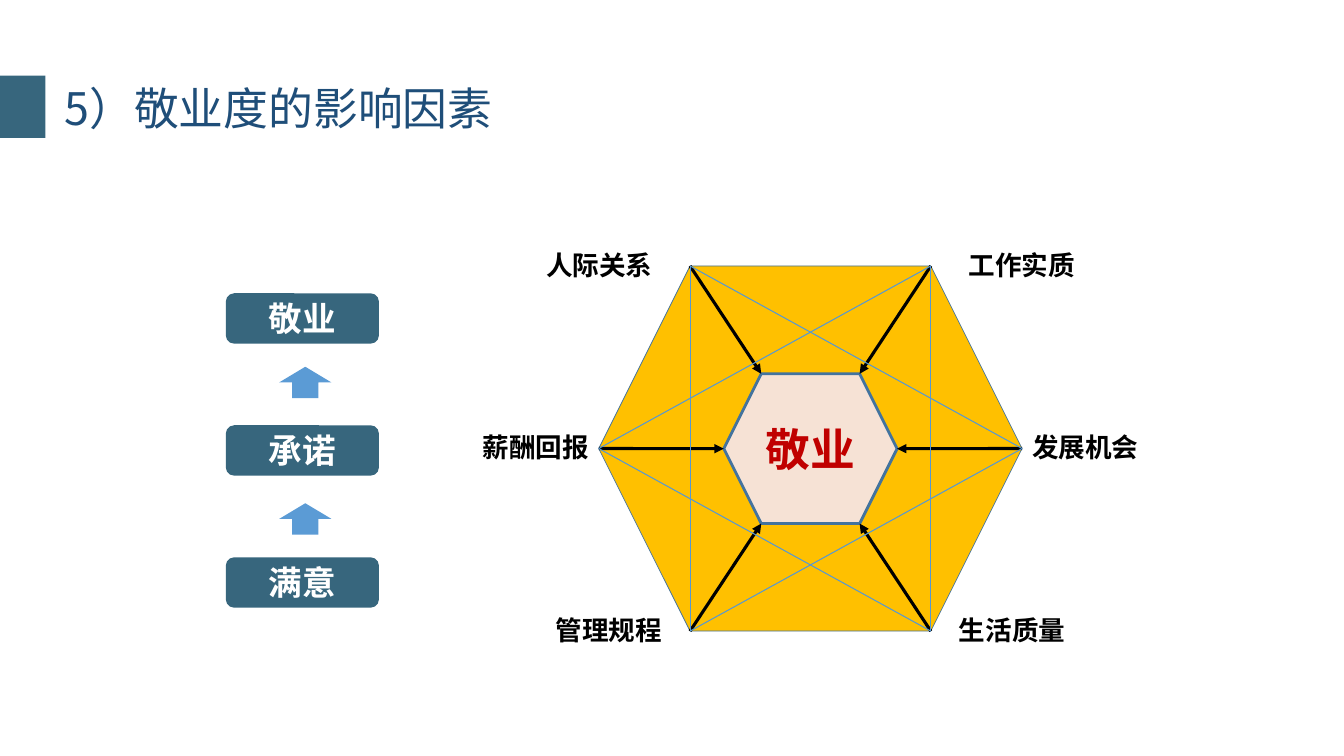
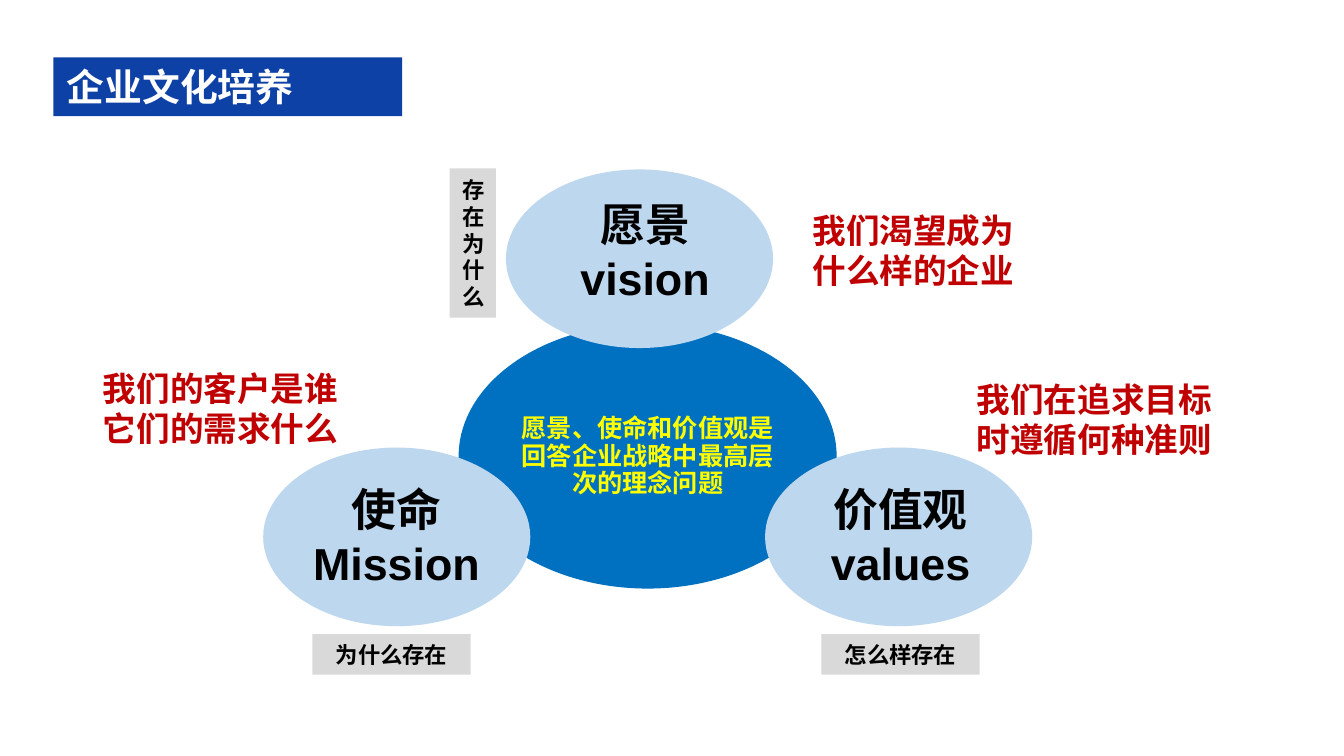
from lxml.etree import SubElement
from pptx import Presentation
from pptx.dml.color import RGBColor
from pptx.enum.shapes import MSO_CONNECTOR, MSO_SHAPE
from pptx.enum.text import MSO_ANCHOR, PP_ALIGN
from pptx.oxml.ns import qn
from pptx.util import Pt

CJK_FONT = "Noto Sans CJK SC"
LATIN_FONT = "Arial"
TEAL, RED, BLACK, WHITE = "37667D", "C00000", "000000", "FFFFFF"
LEFT, CENTER, RIGHT = PP_ALIGN.LEFT, PP_ALIGN.CENTER, PP_ALIGN.RIGHT

NARROW = (7.2, 3.6)
WIDE = (9.4, 5)
TIGHT = (2.2, 2.2)

FACTOR_TITLE = "5）敬业度的影响因素"
STAGES = ["敬业", "承诺", "满意"]
STAGE_LEFT, STAGE_TOP, STAGE_STEP = 161.3, 209.5, 94.3
ARROW_TOPS = [262, 359.5]
OUTER_HEXAGON = (427.7, 190, 302.4, 260.8)
INNER_HEXAGON = (517, 267, 123.8, 107)
FACTORS = [
    ("人际关系", 20, RIGHT),
    ("工作实质", 20, LEFT),
    ("发展机会", 0, LEFT),
    ("生活质量", 13, LEFT),
    ("管理规程", 13, RIGHT),
    ("薪酬回报", 0, RIGHT),
]
FACTOR_WIDTH, FACTOR_HEIGHT = 135.4, 30.2

CULTURE_TITLE = "企业文化培养"
CORE_TEXT = "愿景、使命和价值观是回答企业战略中最高层次的理念问题"
CORE_ELLIPSE = (327.6, 231.2, 270, 189.2)
CORE_TEXT_BOX = (367.2, 259.2, 190.8, 133.9)
IDEA_SIZE = (190.8, 127.6)
IDEAS = [
    {"name": ["愿景", "vision"], "corner": (361.4, 121), "text": (396.7, 135.4, 128.2, 87),
     "question": ["我们渴望成为", "什么样的企业"], "question_box": (571, 144.7, 200.9, 67.7),
     "tag": "存在为什么", "tag_box": (321.1, 120.3, 33.1, 106.6), "tag_align": LEFT},
    {"name": ["使命", "Mission"], "corner": (188, 319.7), "text": (205.2, 339.1, 156.2, 87),
     "question": ["我们的客户是谁", "它们的需求什么"], "question_box": (64.1, 257.8, 223.2, 67.7),
     "tag": "为什么存在", "tag_box": (223.2, 452.9, 113, 29), "tag_align": CENTER},
    {"name": ["价值观", "values"], "corner": (546.5, 319.7), "text": (568.1, 339.1, 150.5, 87),
     "question": ["我们在追求目标", "时遵循何种准则"], "question_box": (688.3, 265.7, 207.4, 67.7),
     "tag": "怎么样存在", "tag_box": (586.8, 452.9, 113, 29), "tag_align": CENTER},
]


def color(value):
    return RGBColor.from_string(value)


def set_values(target, values):
    for name, value in values.items():
        setattr(target, name, value)


def write(shape, lines, size, ink, align=LEFT, bold=True, insets=WIDE, spacing=1.2):
    horizontal, vertical = map(Pt, insets)
    frame = shape.text_frame
    set_values(frame, {
        "word_wrap": True, "vertical_anchor": MSO_ANCHOR.MIDDLE,
        "margin_left": horizontal, "margin_right": horizontal,
        "margin_top": vertical, "margin_bottom": vertical,
    })
    for index, line in enumerate(lines):
        paragraph = frame.add_paragraph() if index else frame.paragraphs[0]
        set_values(paragraph, {"alignment": align, "line_spacing": Pt(size * spacing)})
        run = paragraph.add_run()
        run.text = line
        name = LATIN_FONT if line.isascii() else CJK_FONT
        set_values(run.font, {"size": Pt(size), "bold": bold, "name": name})
        run.font.color.rgb = color(ink)
        SubElement(run.font._element, qn("a:ea")).set("typeface", CJK_FONT)


def add_shape(slide, kind, box, fill, outline=None, width=0):
    shape = slide.shapes.add_shape(kind, *map(Pt, box))
    shape.shadow.inherit = False
    shape.fill.solid()
    shape.fill.fore_color.rgb = color(fill)
    if outline:
        shape.line.color.rgb = color(outline)
        shape.line.width = Pt(width)
    else:
        shape.line.fill.background()
    return shape


def add_text(slide, box, lines, size, ink, **options):
    write(slide.shapes.add_textbox(*map(Pt, box)), lines, size, ink, **options)


def add_line(slide, start, end, ink, width, arrow=False):
    connector = slide.shapes.add_connector(MSO_CONNECTOR.STRAIGHT, *map(Pt, start + end))
    connector.line.color.rgb = color(ink)
    connector.line.width = Pt(width)
    if arrow:
        SubElement(connector.line._get_or_add_ln(), qn("a:tailEnd")).set("type", "triangle")
    SubElement(connector._element.spPr, qn("a:effectLst"))


def hexagon_corners(left, top, width, height):
    right, bottom, middle = left + width, top + height, top + height / 2
    inset = height / 4
    return [(left + inset, top), (right - inset, top), (right, middle),
            (right - inset, bottom), (left + inset, bottom), (left, middle)]


def build_factors(slide):
    outer = hexagon_corners(*OUTER_HEXAGON)
    inner = hexagon_corners(*INNER_HEXAGON)
    add_shape(slide, MSO_SHAPE.HEXAGON, OUTER_HEXAGON, "FFC000", "43739E", 0.5)
    core = add_shape(slide, MSO_SHAPE.HEXAGON, INNER_HEXAGON, "F6E2D5", "43739E", 2)
    write(core, ["敬业"], 32, RED, align=CENTER, insets=NARROW)
    for start, end in zip(outer, inner):
        add_line(slide, start, end, BLACK, 2.25, arrow=True)
    for index, start in enumerate(outer):
        add_line(slide, start, outer[(index + 2) % 6], "5698D3", 0.75)
    for (label, gap, align), (x, y) in zip(FACTORS, outer):
        left = x + gap if align == LEFT else x - gap - FACTOR_WIDTH
        box = (left, y - 16, FACTOR_WIDTH, FACTOR_HEIGHT)
        add_text(slide, box, [label], 19, BLACK, align=align, insets=NARROW)

    for index, stage in enumerate(STAGES):
        box = (STAGE_LEFT, STAGE_TOP + index * STAGE_STEP, 109.4, 36)
        button = add_shape(slide, MSO_SHAPE.ROUNDED_RECTANGLE, box, TEAL)
        write(button, [stage], 24, WHITE, align=CENTER)
    for top in ARROW_TOPS:
        add_shape(slide, MSO_SHAPE.UP_ARROW, (199.4, top, 37.4, 22.4), "5B9BD5")

    add_shape(slide, MSO_SHAPE.RECTANGLE, (0, 54, 32.4, 44.6), TEAL)
    add_text(slide, (38.9, 54, 402.5, 46), [FACTOR_TITLE], 32, "1F4E79",
             bold=False, insets=NARROW)


def build_culture(slide):
    add_shape(slide, MSO_SHAPE.OVAL, CORE_ELLIPSE, "0070C0")
    add_text(slide, CORE_TEXT_BOX, [CORE_TEXT], 18, "FFFF00",
             align=CENTER, insets=TIGHT, spacing=1.08)
    for idea in IDEAS:
        add_shape(slide, MSO_SHAPE.OVAL, idea["corner"] + IDEA_SIZE, "BDD7EE")
        add_text(slide, idea["text"], idea["name"], 32, BLACK, align=CENTER)
        add_text(slide, idea["question_box"], idea["question"], 24, RED)
        tag = add_shape(slide, MSO_SHAPE.RECTANGLE, idea["tag_box"], "D9D9D9")
        write(tag, [idea["tag"]], 16, BLACK, align=idea["tag_align"])
    banner = add_shape(slide, MSO_SHAPE.RECTANGLE, (38.2, 41, 249.1, 42), "0E41A5")
    write(banner, [CULTURE_TITLE], 27, WHITE)


def main():
    presentation = Presentation()
    set_values(presentation, {"slide_width": Pt(960), "slide_height": Pt(540)})
    for build in (build_factors, build_culture):
        build(presentation.slides.add_slide(presentation.slide_layouts[6]))
    presentation.save("out.pptx")


if __name__ == "__main__":
    main()
